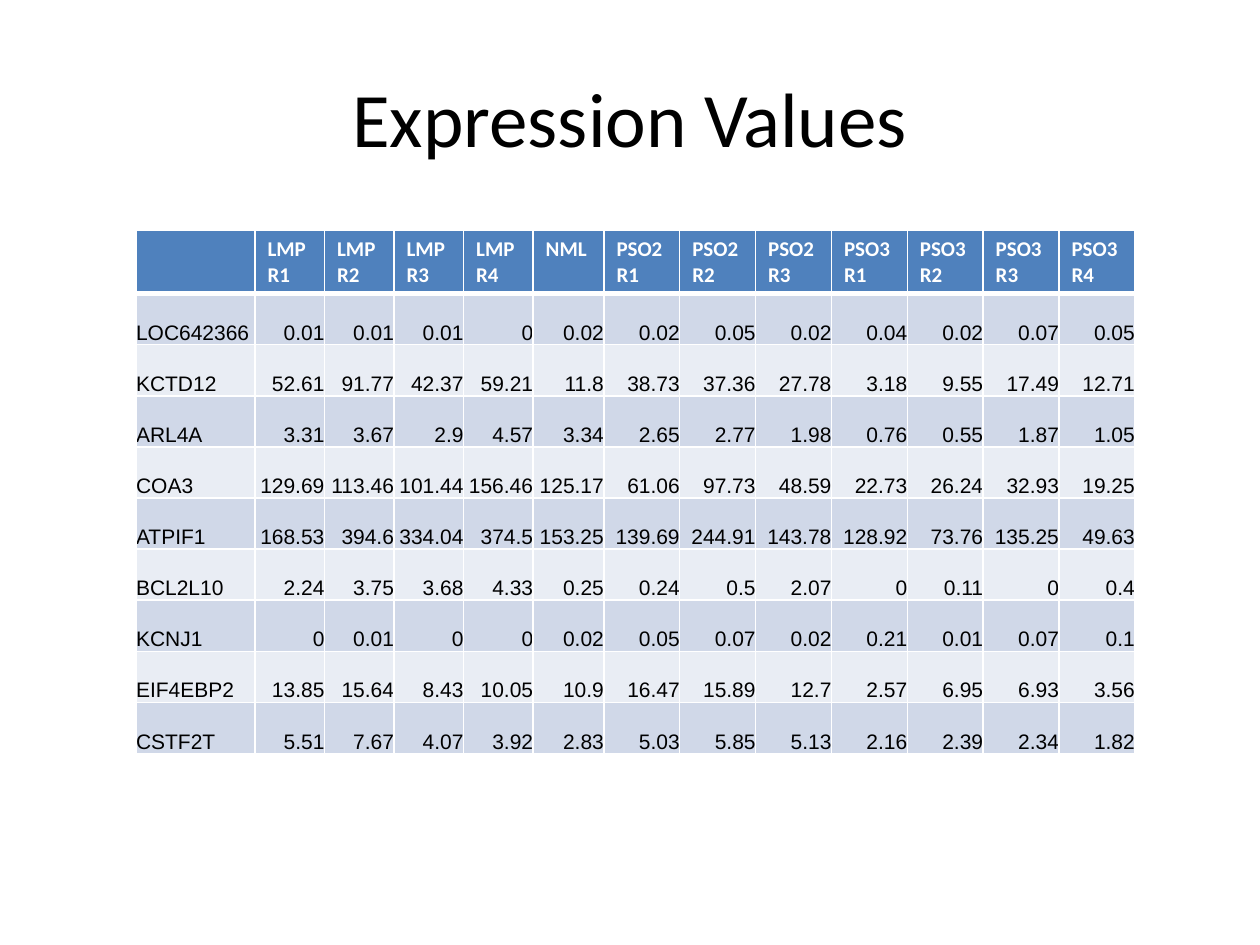
from dataclasses import dataclass

from lxml.etree import SubElement
from pptx import Presentation
from pptx.dml.color import RGBColor
from pptx.enum.text import MSO_ANCHOR, PP_ALIGN
from pptx.oxml.ns import qn
from pptx.util import Inches, Pt


@dataclass(frozen=True)
class Theme:
    heading_font: str = "Calibri"
    body_font: str = "Arial"
    title_size: int = 44
    cell_size: int = 12
    ink: str = "000000"
    paper: str = "FFFFFF"
    header_fill: str = "4F81BD"
    bands: tuple = ("D0D8E8", "E9EDF4")
    thin_rule: int = 1
    thick_rule: int = 3


SLIDE_WIDTH, SLIDE_HEIGHT = Inches(10), Inches(7.5)

# Table content
SAMPLES = ["LMP R1", "LMP R2", "LMP R3", "LMP R4", "NML",
           "PSO2 R1", "PSO2 R2", "PSO2 R3",
           "PSO3 R1", "PSO3 R2", "PSO3 R3", "PSO3 R4"]
EXPRESSION = """
LOC642366 0.01 0.01 0.01 0 0.02 0.02 0.05 0.02 0.04 0.02 0.07 0.05
KCTD12 52.61 91.77 42.37 59.21 11.8 38.73 37.36 27.78 3.18 9.55 17.49 12.71
ARL4A 3.31 3.67 2.9 4.57 3.34 2.65 2.77 1.98 0.76 0.55 1.87 1.05
COA3 129.69 113.46 101.44 156.46 125.17 61.06 97.73 48.59 22.73 26.24 32.93 19.25
ATPIF1 168.53 394.6 334.04 374.5 153.25 139.69 244.91 143.78 128.92 73.76 135.25 49.63
BCL2L10 2.24 3.75 3.68 4.33 0.25 0.24 0.5 2.07 0 0.11 0 0.4
KCNJ1 0 0.01 0 0 0.02 0.05 0.07 0.02 0.21 0.01 0.07 0.1
EIF4EBP2 13.85 15.64 8.43 10.05 10.9 16.47 15.89 12.7 2.57 6.95 6.93 3.56
CSTF2T 5.51 7.67 4.07 3.92 2.83 5.03 5.85 5.13 2.16 2.39 2.34 1.82
"""
GENE_ROWS = [line.split() for line in EXPRESSION.strip().splitlines()]
# Relative widths: gene name, LMP replicates, NML, PSO replicates
COLUMN_WEIGHTS = [0.94] + [0.55] * 4 + [0.56] + [0.6] * 7


def write_text(frame, lines, *, font, size, color, bold=False, align=PP_ALIGN.LEFT):
    """Fill a text frame with one paragraph per line."""
    for index, line in enumerate(lines):
        paragraph = frame.paragraphs[0] if index == 0 else frame.add_paragraph()
        paragraph.alignment = align
        run = paragraph.add_run()
        run.text = line
        run.font.name, run.font.size, run.font.bold = font, Pt(size), bold
        run.font.color.rgb = RGBColor.from_string(color)


class SlideBuilder:
    def __init__(self, slide, theme):
        self.slide, self.theme = slide, theme

    def box(self, left, top, width, height):
        """Turn shares of the slide into lengths."""
        return (int(left * SLIDE_WIDTH), int(top * SLIDE_HEIGHT),
                int(width * SLIDE_WIDTH), int(height * SLIDE_HEIGHT))

    def title(self, text, *shares):
        frame = self.slide.shapes.add_textbox(*self.box(*shares)).text_frame
        frame.word_wrap = True
        frame.vertical_anchor = MSO_ANCHOR.MIDDLE
        write_text(frame, [text], font=self.theme.heading_font, align=PP_ALIGN.CENTER,
                   size=self.theme.title_size, color=self.theme.ink)

    def paint_cell(self, cell, fill, top, bottom):
        """Borders come before the fill in the cell properties."""
        properties = cell._tc.get_or_add_tcPr()
        thin = self.theme.thin_rule
        for side, points in (("L", thin), ("R", thin), ("T", top), ("B", bottom)):
            line = SubElement(properties, qn(f"a:ln{side}"), w=str(Pt(points)))
            solid = SubElement(line, qn("a:solidFill"))
            SubElement(solid, qn("a:srgbClr"), val=self.theme.paper)
        cell.fill.solid()
        cell.fill.fore_color.rgb = RGBColor.from_string(fill)

    def header_cell(self, cell, label):
        theme = self.theme
        self.paint_cell(cell, theme.header_fill, theme.thin_rule, theme.thick_rule)
        write_text(cell.text_frame, label.split(), font=theme.heading_font,
                   size=theme.cell_size, color=theme.paper, bold=True)

    def body_cell(self, cell, text, row, column):
        theme = self.theme
        top = theme.thick_rule if row == 1 else theme.thin_rule
        self.paint_cell(cell, theme.bands[(row - 1) % 2], top, theme.thin_rule)
        cell.margin_left = cell.margin_right = cell.margin_top = cell.margin_bottom = 0
        cell.vertical_anchor = MSO_ANCHOR.BOTTOM
        write_text(cell.text_frame, [text], font=theme.body_font,
                   size=theme.cell_size, color=theme.ink,
                   align=PP_ALIGN.RIGHT if column else PP_ALIGN.LEFT)

    def table(self, header, rows, weights, header_share, *shares):
        left, top, width, height = self.box(*shares)
        table = self.slide.shapes.add_table(
            len(rows) + 1, len(header), left, top, width, height).table
        for column, weight in zip(table.columns, weights):
            column.width = int(width * weight / sum(weights))
        header_height = int(height * header_share)
        for index, row in enumerate(table.rows):
            row.height = (height - header_height) // len(rows) if index else header_height
        for column, label in enumerate(header):
            self.header_cell(table.cell(0, column), label)
        for row, values in enumerate(rows, start=1):
            for column, text in enumerate(values):
                self.body_cell(table.cell(row, column), text, row, column)


def main():
    presentation = Presentation()
    presentation.slide_width, presentation.slide_height = SLIDE_WIDTH, SLIDE_HEIGHT
    slide = presentation.slides.add_slide(presentation.slide_layouts[6])
    builder = SlideBuilder(slide, Theme())

    # Heading
    builder.title("Expression Values", 0.05, 0.04, 0.9, 1 / 6)

    # Genes by sample
    builder.table([""] + SAMPLES, GENE_ROWS, COLUMN_WEIGHTS, 0.12,
                  0.108, 1.83 / 7.5, 0.793, 4.15 / 7.5)

    presentation.save("out.pptx")


if __name__ == "__main__":
    main()
